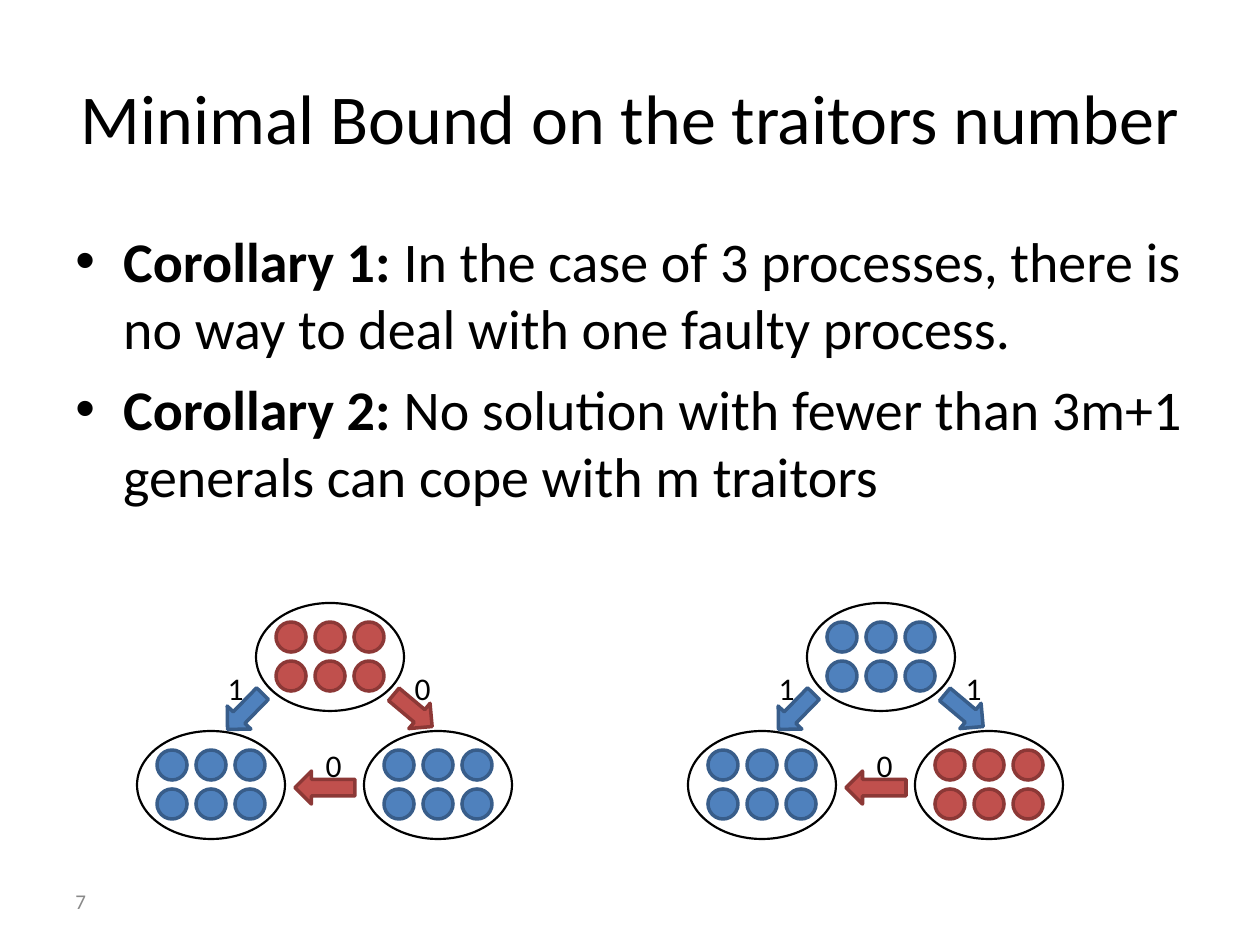
from lxml import etree
from pptx import Presentation, util as u
from pptx.dml.color import RGBColor
from pptx.enum import shapes, text
from pptx.oxml.ns import qn

HEAD = "Minimal Bound on the traitors number"
POINTS = [
    ("Corollary 1:", " In the case of 3 processes, there is no way to deal with one faulty process."),
    ("Corollary 2:", " No solution with fewer than 3m+1 generals can cope with m traitors"),
]
PAGE = "7"
COLORS = {"ink": "000000", "gray": "898989",
          "red": "C0504D", "red edge": "8C3836",
          "blue": "4F81BD", "blue edge": "385D8A"}
FONT = "Calibri"

RINGS = [(256, 603), (364, 731), (137, 731)]
ARROWS = [(388, 694, 50, 40), (220, 695, 50, 134.3), (295, 771, 60, 180)]
LABELS = [(394, 663), (207, 663), (305, 740)]
CASES = [
    {"left": 0, "rings": ["red", "blue", "blue"],
     "arrows": ["red", "blue", "red"], "labels": ["0", "1", "0"]},
    {"left": 551, "rings": ["blue", "red", "blue"],
     "arrows": ["blue", "blue", "red"], "labels": ["1", "1", "0"]},
]
RING = (148, 108)
DOT, STEP = 30, 39
ROWS, COLS = 2, 3
PX = 914400 / 126

prs = Presentation()
prs.slide_width, prs.slide_height = u.Inches(10), u.Inches(7.5)
slide = prs.slides.add_slide(prs.slide_layouts[5])


def emu(*vals):
    return [round(v * PX) for v in vals]


def rgb(name):
    return RGBColor.from_string(COLORS[name])


def style(run, size, color="ink", bold=False):
    run.font.name = FONT
    run.font.size = u.Pt(size)
    run.font.bold = bold
    run.font.color.rgb = rgb(color)


def draw(kind, box, edge, width, fill=None):
    shape = slide.shapes.add_shape(kind, *emu(*box))
    shape.shadow.inherit = False
    if fill:
        shape.fill.solid()
        shape.fill.fore_color.rgb = rgb(fill)
    else:
        shape.fill.background()
    shape.line.color.rgb = rgb(edge)
    shape.line.width = u.Pt(width)
    return shape


def write(box, words, size, color, align):
    frame = slide.shapes.add_textbox(*emu(*box)).text_frame
    frame.word_wrap = True
    frame.text = words
    para = frame.paragraphs[0]
    para.alignment = align
    style(para.runs[0], size, color)
    return frame


title = slide.shapes.title
title.left, title.top, title.width, title.height = emu(63, 38, 1134, 157)
title.text_frame.text = HEAD
title.text_frame.vertical_anchor = text.MSO_ANCHOR.MIDDLE
title.text_frame.paragraphs[0].alignment = text.PP_ALIGN.CENTER
style(title.text_frame.paragraphs[0].runs[0], 40)

body = slide.shapes.add_textbox(*emu(63, 220, 1134, 624)).text_frame
body.word_wrap = True
for i, parts in enumerate(POINTS):
    para = body.add_paragraph() if i else body.paragraphs[0]
    if i:
        para.space_before = u.Pt(8)
    props = para._p.get_or_add_pPr()
    props.set("marL", str(u.Inches(0.38)))
    props.set("indent", str(-u.Inches(0.38)))
    etree.SubElement(props, qn("a:buFont")).set("typeface", "Arial")
    etree.SubElement(props, qn("a:buChar")).set("char", "•")
    for j, words in enumerate(parts):
        run = para.add_run()
        run.text = words
        style(run, 32, bold=j == 0)

foot = write((63, 876, 294, 50), PAGE, 12, "gray", text.PP_ALIGN.LEFT)
foot.vertical_anchor = text.MSO_ANCHOR.MIDDLE

OVAL = shapes.MSO_SHAPE.OVAL
for case in CASES:
    left = case["left"]
    for (x, y), color in zip(RINGS, case["rings"]):
        for k in range(ROWS * COLS):
            row, col = divmod(k, COLS)
            dot = (left + x + 20 + col * STEP, y + 19 + row * STEP, DOT, DOT)
            draw(OVAL, dot, color + " edge", 2, color)
        draw(OVAL, (left + x, y, *RING), "ink", 1.25)
    for (x, y, wide, turn), color in zip(ARROWS, case["arrows"]):
        arrow = draw(shapes.MSO_SHAPE.RIGHT_ARROW, (left + x, y, wide, 33),
                     color + " edge", 2, color)
        arrow.rotation = turn
    for (x, y), digit in zip(LABELS, case["labels"]):
        label = write((left + x, y, 49, 50), digit, 18, "ink", text.PP_ALIGN.RIGHT)
        label.auto_size = text.MSO_AUTO_SIZE.SHAPE_TO_FIT_TEXT

prs.save("out.pptx")
